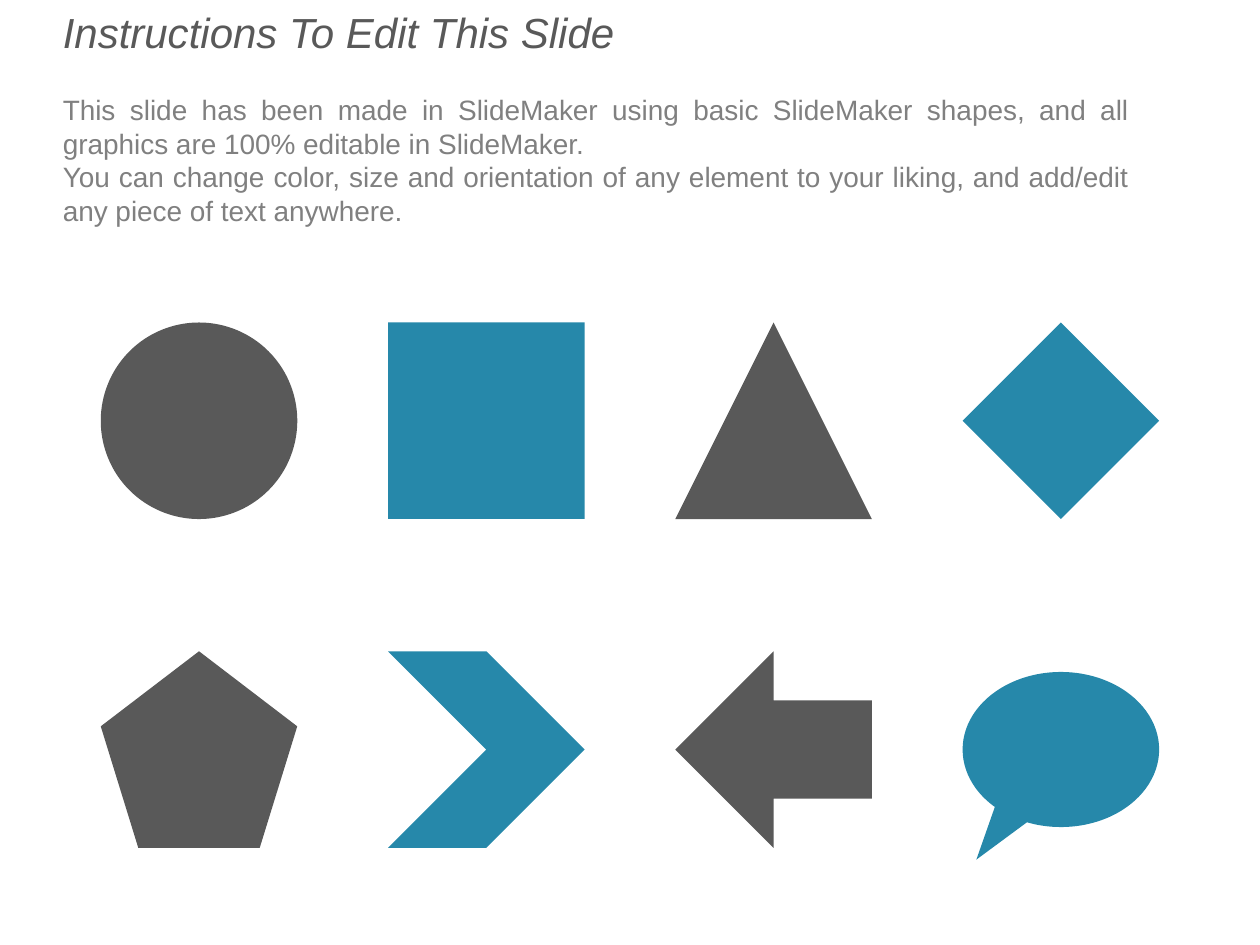
from dataclasses import dataclass

from pptx import Presentation
from pptx.dml.color import RGBColor
from pptx.enum.shapes import MSO_SHAPE as Preset
from pptx.enum.text import MSO_AUTO_SIZE as AutoSize, PP_ALIGN as Align
from pptx.util import Pt


@dataclass(frozen=True)
class Theme:
    font: str = "Arial"
    grey: RGBColor = RGBColor(0x59, 0x59, 0x59)
    blue: RGBColor = RGBColor(0x26, 0x88, 0xAA)
    body: RGBColor = RGBColor(0x80, 0x80, 0x80)
    heading_size: float = 24
    body_size: float = 16


THEME = Theme()

HEADING = "Instructions To Edit This Slide"
ADVICE = [
    "This slide has been made in SlideMaker using basic SlideMaker shapes, "
    "and all graphics are 100% editable in SlideMaker.",
    "You can change color, size and orientation of any element to your liking, "
    "and add/edit any piece of text anywhere.",
]

# Gallery grid: cell size, first cell and pitch
CELL = 112.3
LEFT, TOP = 57.6, 184.3
COLUMN_PITCH, ROW_PITCH = 164.16, 187.9
CALLOUT_HEIGHT = 88.6
CALLOUT_TAIL = (-0.43, 0.71)

GALLERY = [
    [Preset.OVAL, Preset.RECTANGLE, Preset.ISOSCELES_TRIANGLE, Preset.DIAMOND],
    [Preset.REGULAR_PENTAGON, Preset.CHEVRON, Preset.LEFT_ARROW, Preset.OVAL_CALLOUT],
]


def apply(target, formats):
    for name, value in formats.items():
        setattr(target, name, value)


def write_paragraph(paragraph, wording, color, font_formats, layout):
    run = paragraph.add_run()
    run.text = wording
    apply(run.font, {"name": THEME.font, **font_formats})
    run.font.color.rgb = color
    apply(paragraph, layout)


def add_instructions(slide):
    box = slide.shapes.add_textbox(Pt(28.8), Pt(0), Pt(623.5), Pt(135.4))
    frame = box.text_frame
    apply(frame, {"word_wrap": True, "auto_size": AutoSize.SHAPE_TO_FIT_TEXT})
    write_paragraph(
        frame.paragraphs[0], HEADING, THEME.grey,
        {"size": Pt(THEME.heading_size), "italic": True},
        {"space_after": Pt(20.7)},
    )
    for sentence in ADVICE:
        write_paragraph(
            frame.add_paragraph(), sentence, THEME.body,
            {"size": Pt(THEME.body_size), "italic": False},
            {"alignment": Align.JUSTIFY},
        )


def add_sample(group, preset, left, top, height, color):
    sample = group.shapes.add_shape(preset, Pt(left), Pt(top), Pt(CELL), Pt(height))
    sample.shadow.inherit = False
    sample.fill.solid()
    sample.fill.fore_color.rgb = color
    sample.line.fill.background()
    return sample


def add_gallery(slide):
    group = slide.shapes.add_group_shape()
    for row, presets in enumerate(GALLERY):
        for column, preset in enumerate(presets):
            is_callout = preset == Preset.OVAL_CALLOUT
            height = CALLOUT_HEIGHT if is_callout else CELL
            # Each sample is centred vertically in its cell
            top = TOP + row * ROW_PITCH + (CELL - height) / 2
            sample = add_sample(
                group, preset, LEFT + column * COLUMN_PITCH, top, height,
                THEME.blue if column % 2 else THEME.grey,
            )
            if is_callout:
                for index, offset in enumerate(CALLOUT_TAIL):
                    sample.adjustments[index] = offset


def main():
    deck = Presentation()
    apply(deck, {"slide_width": Pt(720), "slide_height": Pt(540)})
    slide = deck.slides.add_slide(deck.slide_layouts[6])
    # Heading and advice
    add_instructions(slide)
    # Editable shapes
    add_gallery(slide)
    deck.save("out.pptx")


main()
